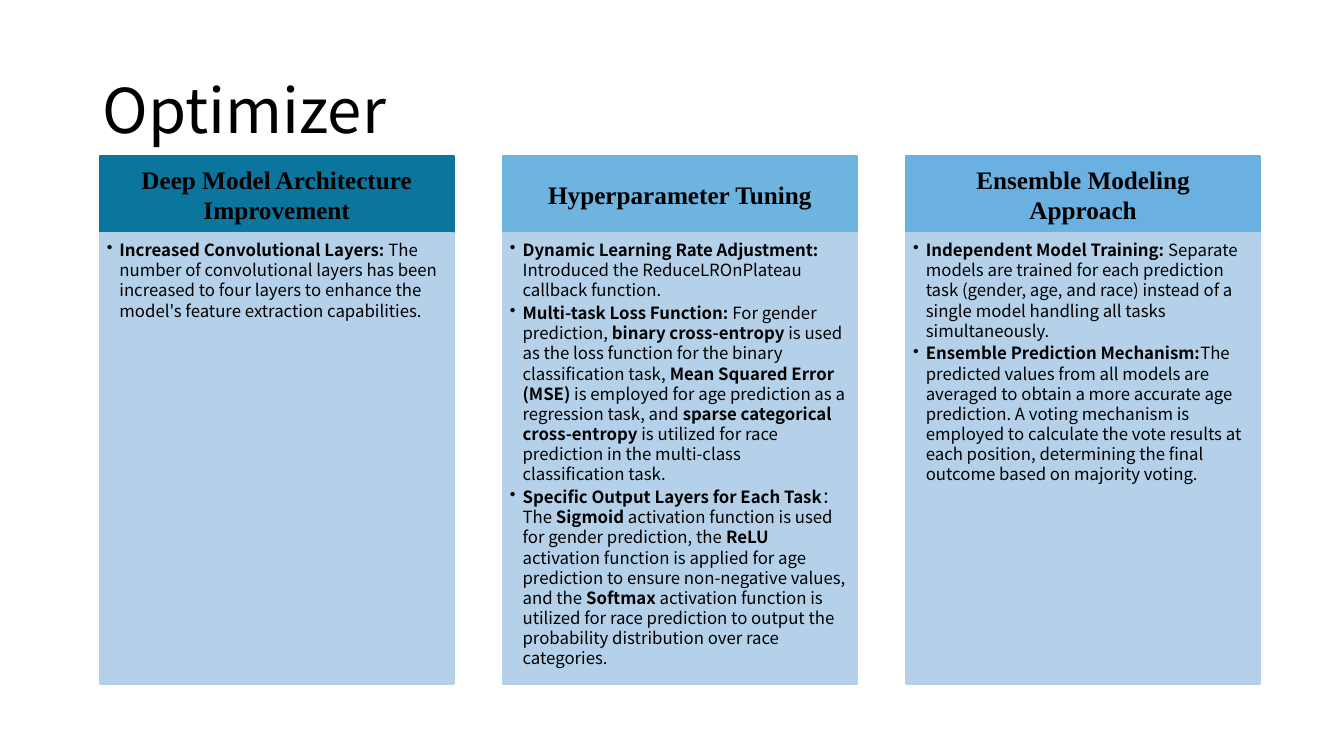
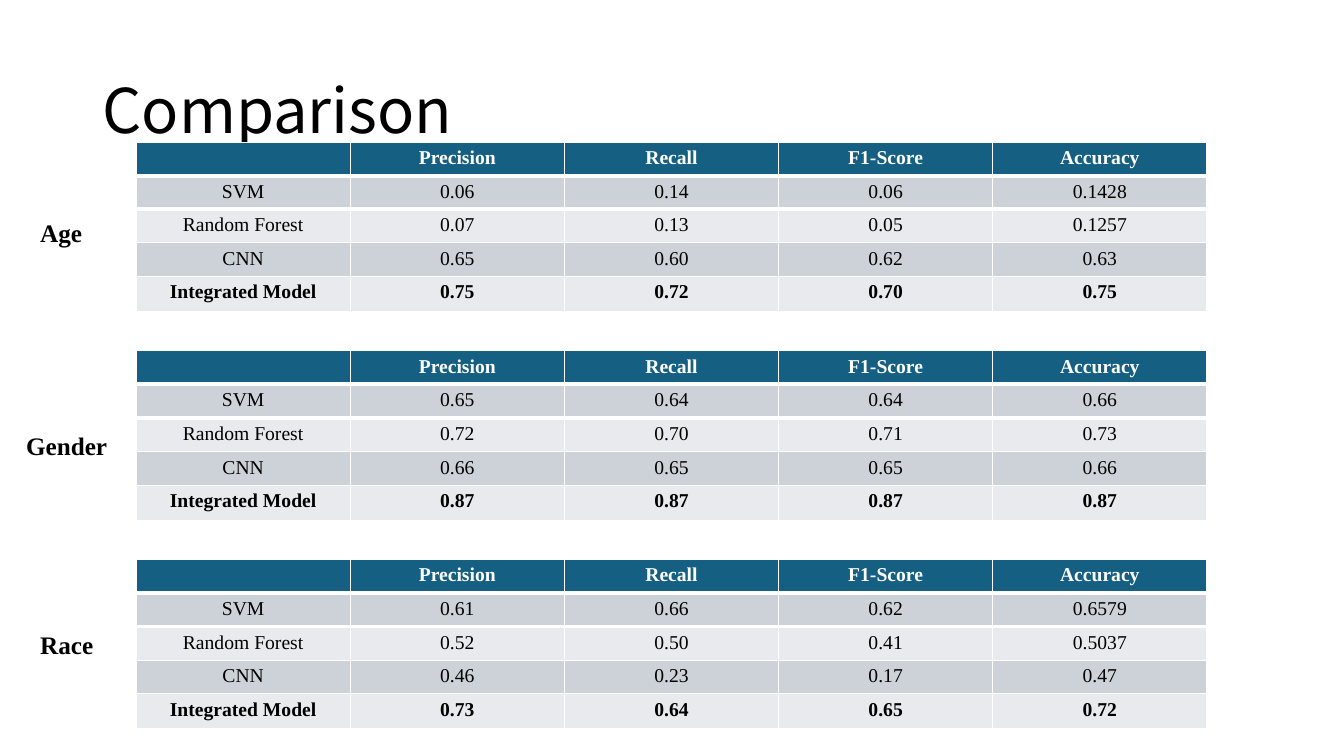
from dataclasses import dataclass

from lxml import etree
from pptx import Presentation
from pptx.dml.color import RGBColor
from pptx.enum.shapes import MSO_SHAPE
from pptx.enum.text import MSO_ANCHOR, PP_ALIGN
from pptx.oxml.ns import qn
from pptx.util import Pt

RECT = MSO_SHAPE.RECTANGLE
TOP, MIDDLE = MSO_ANCHOR.TOP, MSO_ANCHOR.MIDDLE
LEFT, CENTER = PP_ALIGN.LEFT, PP_ALIGN.CENTER


@dataclass(frozen=True)
class Theme:
    sans: str = "Noto Sans CJK SC"
    serif: str = "Times New Roman"
    black: str = "000000"
    white: str = "FFFFFF"
    panel: str = "B4D1E9"
    table_head: str = "156082"
    row_bands: tuple = ("CCD2D8", "E8EAED")
    title_size: int = 44
    heading_size: int = 18
    table_size: int = 14
    body_size: int = 12


class Deck:
    def __init__(self, theme):
        self.theme = theme
        self.prs = Presentation()
        self.prs.slide_width, self.prs.slide_height = Pt(960), Pt(540)
        self.s = None

    def slide(self, title):
        t = self.theme
        self.s = self.prs.slides.add_slide(self.prs.slide_layouts[5])
        sp = self.s.shapes.title
        sp.left, sp.top, sp.width, sp.height = Pt(66), Pt(28.8), Pt(828), Pt(104.4)
        tf = sp.text_frame
        tf.text = title
        tf.vertical_anchor = MIDDLE
        p = tf.paragraphs[0]
        p.line_spacing = 0.9
        self.style(p, t.sans, t.title_size, align=LEFT)

    def style(self, p, font, size, color=None, bold=None, align=None):
        p.font.name, p.font.size, p.font.bold = font, Pt(size), bold
        p.font.color.rgb = RGBColor.from_string(color or self.theme.black)
        p.alignment = align

    def box(self, x, y, w, h, color, margins, anchor):
        sp = self.s.shapes.add_shape(RECT, Pt(x), Pt(y), Pt(w), Pt(h))
        sp.shadow.inherit = False
        sp.fill.solid()
        sp.line.width = Pt(1.5)
        for paint in (sp.fill.fore_color, sp.line.color):
            paint.rgb = RGBColor.from_string(color)
        tf = sp.text_frame
        tf.word_wrap = True
        tf.vertical_anchor = anchor
        tf.margin_left, tf.margin_top, tf.margin_right, tf.margin_bottom = map(Pt, margins)
        return tf

    def heading(self, x, y, w, h, text, color):
        t = self.theme
        tf = self.box(x, y, w, h, color, (12, 6, 12, 6), MIDDLE)
        tf.text = text
        self.style(tf.paragraphs[0], t.serif, t.heading_size, bold=True, align=CENTER)

    def bullets(self, x, y, w, h, items):
        t = self.theme
        tf = self.box(x, y, w, h, t.panel, (5, 5, 7.5, 7), TOP)
        for i, item in enumerate(items):
            p = tf.add_paragraph() if i else tf.paragraphs[0]
            p.space_after = Pt(1.8)
            self.style(p, t.sans, t.body_size, align=LEFT)
            pPr = p._p.get_or_add_pPr()
            pPr.set("marL", str(Pt(9)))
            pPr.set("indent", str(-Pt(9)))
            bullet = etree.Element(qn("a:buChar"), char="•")
            pPr.find(qn("a:defRPr")).addprevious(bullet)
            for k, part in enumerate(item.split("**")):
                if part:
                    r = p.add_run()
                    r.text, r.font.bold = part, k % 2 == 1

    def label(self, x, y, w, text):
        t = self.theme
        tf = self.s.shapes.add_textbox(Pt(x), Pt(y), Pt(w), Pt(28.8)).text_frame
        tf.word_wrap = False
        tf.text = text
        self.style(tf.paragraphs[0], t.serif, t.heading_size, bold=True)

    def border(self, cell, edge, width):
        ln = etree.Element(qn(edge), w=str(Pt(width)))
        fill = etree.SubElement(ln, qn("a:solidFill"))
        etree.SubElement(fill, qn("a:srgbClr"), val=self.theme.white)
        cell._tc.get_or_add_tcPr().insert(0, ln)

    def table(self, x, y, col_w, row_h, rows):
        t = self.theme
        n, m = len(rows), len(rows[0])
        tbl = self.s.shapes.add_table(n, m, Pt(x), Pt(y), Pt(col_w * m), Pt(row_h * n)).table
        for col in tbl.columns:
            col.width = Pt(col_w)
        for i, values in enumerate(rows):
            fill = t.row_bands[(i - 1) % 2] if i else t.table_head
            color = t.black if i else t.white
            tbl.rows[i].height = Pt(row_h + 1 if i == n - 1 else row_h)
            for j, value in enumerate(values):
                cell = tbl.cell(i, j)
                cell.fill.solid()
                cell.fill.fore_color.rgb = RGBColor.from_string(fill)
                if i < 2:
                    self.border(cell, "a:lnT" if i else "a:lnB", 3)
                cell.text = value
                p = cell.text_frame.paragraphs[0]
                self.style(p, t.serif, t.table_size, color, i in (0, n - 1), CENTER)
                if not value:
                    p._p.get_or_add_endParaRPr().set("sz", str(t.table_size * 100))


COLUMNS = [
    ("Deep Model Architecture Improvement", "0B759E", [
        "**Increased Convolutional Layers:** The number of convolutional layers has been "
        "increased to four layers to enhance the model's feature extraction capabilities.",
    ]),
    ("Hyperparameter Tuning", "6FB3DF", [
        "**Dynamic Learning Rate Adjustment:** Introduced the ReduceLROnPlateau callback function.",
        "**Multi-task Loss Function:** For gender prediction, **binary cross-entropy** is used "
        "as the loss function for the binary classification task,** Mean Squared Error (MSE)** "
        "is employed for age prediction as a regression task, and **sparse categorical "
        "cross-entropy** is utilized for race prediction in the multi-class classification task.",
        "**Specific Output Layers for Each Task**：The **Sigmoid** activation function is used "
        "for gender prediction, the **ReLU **activation function is applied for age prediction "
        "to ensure non-negative values, and the **Softmax** activation function is utilized for "
        "race prediction to output the probability distribution over race categories.",
    ]),
    ("Ensemble Modeling Approach", "6AB1E1", [
        "**Independent Model Training:** Separate models are trained for each prediction task "
        "(gender, age, and race) instead of a single model handling all tasks simultaneously.",
        "**Ensemble Prediction Mechanism:**The predicted values from all models are averaged to "
        "obtain a more accurate age prediction. A voting mechanism is employed to calculate the "
        "vote results at each position, determining the final outcome based on majority voting.",
    ]),
]

METRICS = ["", "Precision", "Recall", "F1-Score", "Accuracy"]
MODELS = ["SVM", "Random Forest", "CNN", "Integrated Model"]
RESULTS = [
    ("Age", (21.6, 151.9, 50.4), [
        "0.06 0.14 0.06 0.1428", "0.07 0.13 0.05 0.1257",
        "0.65 0.60 0.62 0.63", "0.75 0.72 0.70 0.75"]),
    ("Gender", (11.5, 303.8, 72.7), [
        "0.65 0.64 0.64 0.66", "0.72 0.70 0.71 0.73",
        "0.66 0.65 0.65 0.66", "0.87 0.87 0.87 0.87"]),
    ("Race", (21.6, 445.7, 52.6), [
        "0.61 0.66 0.62 0.6579", "0.52 0.50 0.41 0.5037",
        "0.46 0.23 0.17 0.47", "0.73 0.64 0.65 0.72"]),
]


def main():
    deck = Deck(Theme())

    deck.slide("Optimizer")
    for i, (heading, color, items) in enumerate(COLUMNS):
        x = 71.3 + 288 * i
        deck.heading(x, 111.6, 252.7, 54.7, heading, color)
        deck.bullets(x, 166.3, 252.7, 322.6, items)

    deck.slide("Comparison")
    for i, (task, place, scores) in enumerate(RESULTS):
        rows = [[model, *line.split()] for model, line in zip(MODELS, scores)]
        deck.table(97.2, 101.5 + 149 * i, 153, 24, [METRICS, *rows])
        deck.label(*place, task)

    deck.prs.save("out.pptx")


if __name__ == "__main__":
    main()
